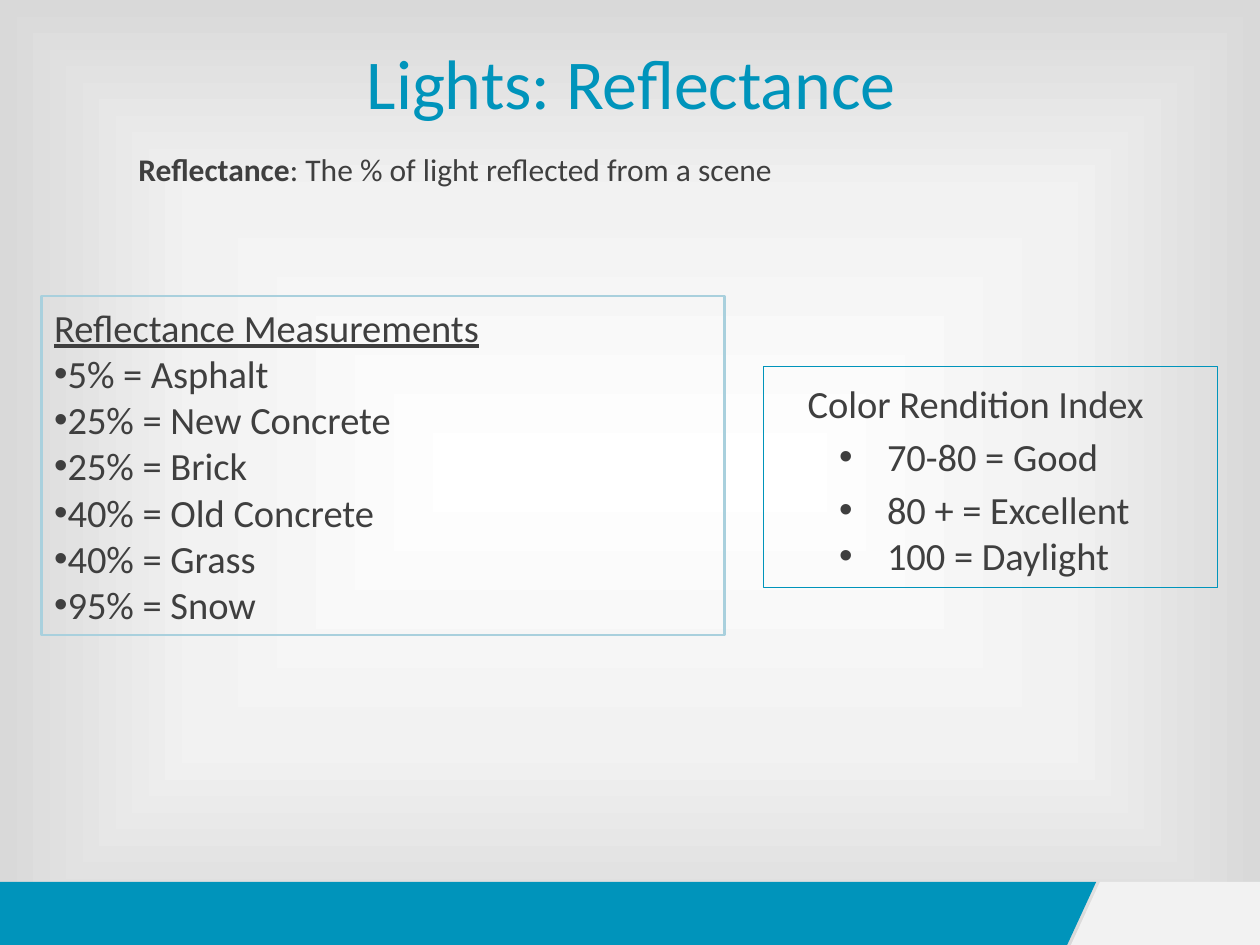
from dataclasses import dataclass

from lxml import etree
from pptx import Presentation
from pptx.dml.color import RGBColor
from pptx.enum.text import MSO_ANCHOR, MSO_AUTO_SIZE, PP_ALIGN
from pptx.oxml import parse_xml
from pptx.oxml.ns import nsdecls, qn
from pptx.util import Pt

PX = 9144
TOP, MIDDLE = MSO_ANCHOR.TOP, MSO_ANCHOR.MIDDLE
LEFT, CENTER, JUSTIFY = PP_ALIGN.LEFT, PP_ALIGN.CENTER, PP_ALIGN.JUSTIFY
NO_FIT = MSO_AUTO_SIZE.NONE
TWO_CONTENT = 3


@dataclass(frozen=True)
class Theme:
    font: str = "Calibri"
    text: str = "3F3F3F"
    accent: str = "0094BB"
    pale: str = "A9D0DD"
    corner: str = "F2F2F2"
    background: tuple = ((0, "FFFFFF"), (58, "F2F2F2"), (100, "D9D9D9"))
    title: int = 40
    list: int = 22
    note: int = 18


@dataclass(frozen=True)
class Box:
    x: int
    y: int
    w: int
    h: int


@dataclass(frozen=True)
class Line:
    text: str
    bullet: bool = True
    underline: bool = False
    level: int = 0
    margin: int = 0
    indent: int = 0
    spacing: float = 1.0
    align: PP_ALIGN = JUSTIFY


@dataclass(frozen=True)
class Panel:
    box: Box
    lines: tuple
    color: str
    weight: float
    anchor: MSO_ANCHOR


@dataclass(frozen=True)
class Band:
    points: tuple
    color: str


T = Theme()


def rgb(color: str) -> RGBColor:
    return RGBColor.from_string(color)


def place(sp, box: Box) -> None:
    sp.left, sp.top = box.x * PX, box.y * PX
    sp.width, sp.height = box.w * PX, box.h * PX


def add_run(p, text: str, *, size: int, color: str = T.text,
            bold: bool = False, underline: bool = False) -> None:
    r = p.add_run()
    r.text = text
    r.font.name = T.font
    r.font.size = Pt(size)
    r.font.color.rgb = rgb(color)
    r.font.bold = bold
    r.font.underline = underline


def format_paragraph(p, line: Line) -> None:
    pPr = p._p.get_or_add_pPr()
    pPr.set("marL", str(line.margin * PX))
    pPr.set("indent", str(line.indent * PX))
    if line.bullet:
        etree.SubElement(pPr, qn("a:buFont")).set("typeface", "Arial")
        etree.SubElement(pPr, qn("a:buChar")).set("char", "•")
    else:
        etree.SubElement(pPr, qn("a:buNone"))
    p.level = line.level
    p.alignment = line.align
    p.line_spacing = line.spacing
    p.space_before = Pt(0)


def fill_panel(sp, panel: Panel) -> None:
    place(sp, panel.box)
    sp.line.color.rgb = rgb(panel.color)
    sp.line.width = Pt(panel.weight)
    tf = sp.text_frame
    tf.auto_size = NO_FIT
    tf.vertical_anchor = panel.anchor
    for i, line in enumerate(panel.lines):
        p = tf.add_paragraph() if i else tf.paragraphs[0]
        format_paragraph(p, line)
        add_run(p, line.text, size=T.list, underline=line.underline)


def add_band(s, band: Band) -> None:
    builder = s.shapes.build_freeform(*band.points[0], scale=PX)
    builder.add_line_segments(band.points[1:], close=True)
    sp = builder.convert_to_shape()
    sp.shadow.inherit = False
    sp.fill.solid()
    sp.fill.fore_color.rgb = rgb(band.color)
    sp.line.fill.background()


def set_background(s) -> None:
    stops = "".join(f'<a:gs pos="{pos * 1000}"><a:srgbClr val="{color}"/></a:gs>'
                    for pos, color in T.background)
    bg = parse_xml(
        f'<p:bg {nsdecls("p", "a")}><p:bgPr><a:gradFill><a:gsLst>{stops}</a:gsLst>'
        '<a:path path="rect"><a:fillToRect l="50000" t="50000" r="50000" b="50000"/>'
        '</a:path></a:gradFill><a:effectLst/></p:bgPr></p:bg>')
    s._element.cSld.insert(0, bg)


def add_title(sp, text: str) -> None:
    place(sp, Box(76, 21, 850, 87))
    tf = sp.text_frame
    tf.auto_size = NO_FIT
    tf.vertical_anchor = MIDDLE
    p = tf.paragraphs[0]
    p.alignment = CENTER
    add_run(p, text, size=T.title, color=T.accent)


def add_definition(s, term: str, meaning: str) -> None:
    sp = s.shapes.add_textbox(0, 0, 0, 0)
    place(sp, Box(100, 114, 698, 50))
    tf = sp.text_frame
    tf.word_wrap = True
    p = tf.paragraphs[0]
    add_run(p, term, size=T.note, bold=True)
    add_run(p, meaning, size=T.note)


MEASUREMENTS = ("5% = Asphalt", "25% = New Concrete", "25% = Brick",
                "40% = Old Concrete", "40% = Grass", "95% = Snow")
RATING = dict(level=1, margin=88, indent=-38)
PANELS = (
    Panel(Box(33, 235, 542, 269),
          (Line("Reflectance Measurements", bullet=False, underline=True),
           *map(Line, MEASUREMENTS)),
          T.pale, 1.5, MIDDLE),
    Panel(Box(606, 291, 360, 175),
          (Line("Color Rendition Index", bullet=False, margin=25, spacing=1.15),
           Line("70-80 = Good", spacing=1.15, **RATING),
           Line("80 + = Excellent", spacing=1.15, **RATING),
           Line("100 = Daylight", align=LEFT, **RATING)),
          T.accent, 0.5, TOP),
)
BANDS = (
    Band(((0, 700), (870, 700), (847, 750), (0, 750)), T.accent),
    Band(((873, 700), (1000, 700), (1000, 750), (850, 750)), T.corner),
)


def main() -> None:
    prs = Presentation()
    prs.slide_width, prs.slide_height = 1000 * PX, 750 * PX
    s = prs.slides.add_slide(prs.slide_layouts[TWO_CONTENT])
    set_background(s)
    for band in BANDS:
        add_band(s, band)
    title, *bodies = s.placeholders
    add_title(title, "Lights: Reflectance")
    add_definition(s, "Reflectance", ": The % of light reflected from a scene")
    for sp, panel in zip(bodies, PANELS):
        fill_panel(sp, panel)
    prs.save("out.pptx")


if __name__ == "__main__":
    main()
